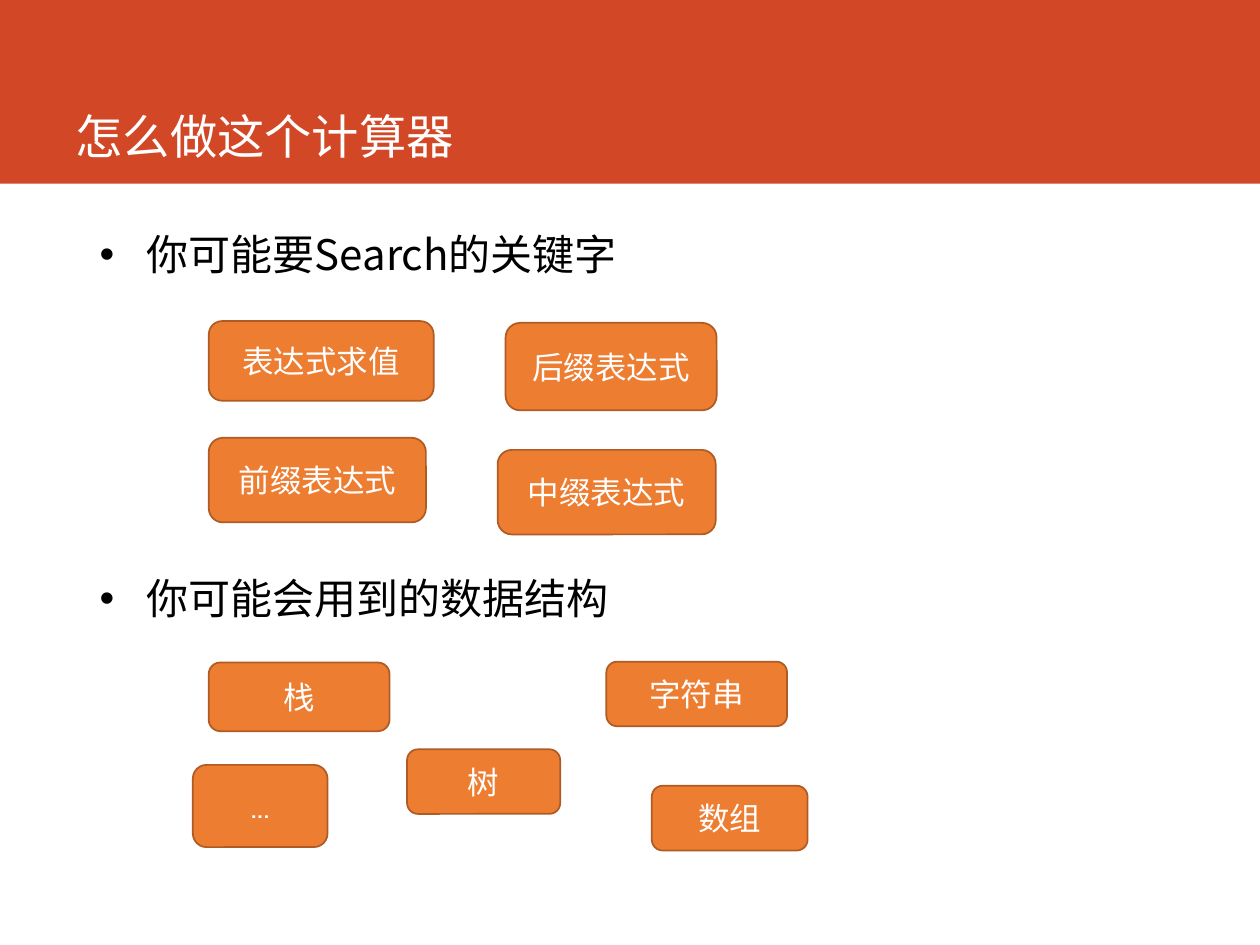
from lxml import etree
from pptx import Presentation
from pptx.dml.color import RGBColor
from pptx.enum.shapes import MSO_SHAPE
from pptx.enum.text import MSO_ANCHOR, MSO_AUTO_SIZE, PP_ALIGN
from pptx.oxml.ns import qn
from pptx.util import Pt

RECTANGLE, ROUNDED = MSO_SHAPE.RECTANGLE, MSO_SHAPE.ROUNDED_RECTANGLE
BOTTOM, MIDDLE, TOP = MSO_ANCHOR.BOTTOM, MSO_ANCHOR.MIDDLE, MSO_ANCHOR.TOP
LEFT, CENTER = PP_ALIGN.LEFT, PP_ALIGN.CENTER
NO_AUTOFIT = MSO_AUTO_SIZE.NONE

RED = RGBColor(0xD2, 0x47, 0x26)
ORANGE = RGBColor(0xED, 0x7D, 0x31)
BROWN = RGBColor(0xAF, 0x5C, 0x24)
WHITE = RGBColor(0xFF, 0xFF, 0xFF)
BLACK = RGBColor(0, 0, 0)
CJK_FONT = "Noto Sans CJK SC"
LATIN_FONT = "Cabin"


def place(shape, left, top, width, height):
    shape.left, shape.top = Pt(left), Pt(top)
    shape.width, shape.height = Pt(width), Pt(height)


def format_text(paragraph, size, color, latin, align):
    """Format every run, with the CJK font for East Asian characters."""
    paragraph.alignment = align
    for run in paragraph.runs:
        run.font.size = Pt(size)
        run.font.color.rgb = color
        run.font.name = latin
        east_asian = etree.SubElement(run.font._element, qn("a:ea"))
        east_asian.set("typeface", CJK_FONT)


prs = Presentation()
prs.slide_width, prs.slide_height = Pt(720), Pt(540)
slide = prs.slides.add_slide(prs.slide_layouts[1])
title, body = slide.placeholders

# Header band, moved behind the title
band = slide.shapes.add_shape(RECTANGLE, 0, 0, Pt(720), Pt(105))
band.shadow.inherit = False
band.fill.solid()
band.fill.fore_color.rgb = RED
band.line.fill.background()
title._element.addprevious(band._element)

place(title, 36, 0, 635, 95)
title.text_frame.text = "怎么做这个计算器"
title.text_frame.vertical_anchor = BOTTOM
title.text_frame.auto_size = NO_AUTOFIT
title.text_frame.margin_bottom = Pt(1)
format_text(title.text_frame.paragraphs[0], 27, WHITE, CJK_FONT, LEFT)

# Two headings, with room for the keyword boxes between them
place(body, 49.7, 130.3, 635.8, 353.5)
body.text_frame.text = "你可能要Search的关键字\n你可能会用到的数据结构"
body.text_frame.vertical_anchor = TOP
body.text_frame.auto_size = NO_AUTOFIT
for heading, space_before in zip(body.text_frame.paragraphs, (0, 170.4)):
    heading.space_before = Pt(space_before)
    heading.line_spacing = 0.9
    format_text(heading, 24, BLACK, CJK_FONT, LEFT)
    properties = heading._p.get_or_add_pPr()
    properties.set("marL", str(Pt(27)))
    properties.set("indent", str(Pt(-27)))
    bullet_font = etree.SubElement(properties, qn("a:buFont"))
    bullet_font.set("typeface", "Arial")
    etree.SubElement(properties, qn("a:buChar")).set("char", "•")

KEYWORDS = [
    ("表达式求值", 119.3, 183.5, 128.5, 45.5),
    ("后缀表达式", 288.9, 184.5, 120.6, 50),
    ("中缀表达式", 284.4, 257.1, 124.6, 48.3),
    ("前缀表达式", 119.3, 250.2, 124.1, 48.3),
    ("栈", 119.3, 378.6, 103.3, 39.2),
    ("字符串", 346.5, 378.1, 103.3, 36.9),
    ("数组", 372.5, 449, 89, 37),
    ("...", 110.2, 437.1, 77, 47),
    ("树", 232.6, 428.2, 87.5, 36.9),
]
for word, *bounds in KEYWORDS:
    box = slide.shapes.add_shape(ROUNDED, *map(Pt, bounds))
    box.shadow.inherit = False
    box.fill.solid()
    box.fill.fore_color.rgb = ORANGE
    box.line.color.rgb = BROWN
    box.line.width = Pt(1)
    box.text_frame.text = word
    box.text_frame.vertical_anchor = MIDDLE
    format_text(box.text_frame.paragraphs[0], 18, WHITE, LATIN_FONT, CENTER)

prs.save("out.pptx")
